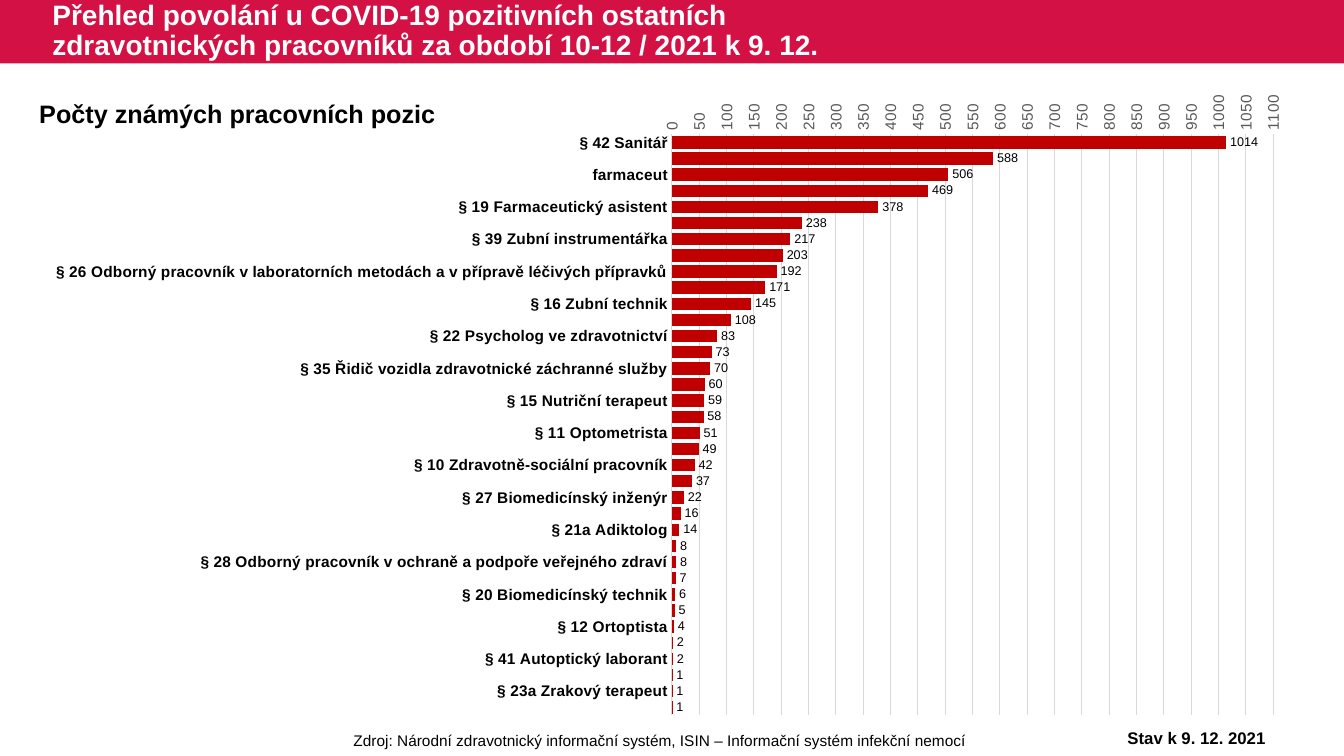
from lxml import etree
from pptx import Presentation
from pptx.chart.data import CategoryChartData
from pptx.dml.color import RGBColor
from pptx.enum.chart import XL_CHART_TYPE, XL_LABEL_POSITION, XL_TICK_MARK
from pptx.enum.shapes import MSO_SHAPE
from pptx.enum.text import MSO_ANCHOR, PP_ALIGN
from pptx.oxml.ns import qn
from pptx.util import Cm, Pt

BAR_CLUSTERED = XL_CHART_TYPE.BAR_CLUSTERED
OUTSIDE_END = XL_LABEL_POSITION.OUTSIDE_END
NO_TICK = XL_TICK_MARK.NONE
RECTANGLE = MSO_SHAPE.RECTANGLE
TOP, MIDDLE = MSO_ANCHOR.TOP, MSO_ANCHOR.MIDDLE
LEFT, CENTER = PP_ALIGN.LEFT, PP_ALIGN.CENTER

CRIMSON = RGBColor(0xD3, 0x11, 0x45)
BAR_RED = RGBColor(0xC0, 0x00, 0x00)
BLACK = RGBColor(0x00, 0x00, 0x00)
WHITE = RGBColor(0xFF, 0xFF, 0xFF)
GREY = RGBColor(0x59, 0x59, 0x59)
LIGHT_GREY = RGBColor(0xD9, 0xD9, 0xD9)

POSITIONS = [
    "§ 42 Sanitář",
    "farmaceut",
    "§ 19 Farmaceutický asistent",
    "§ 39 Zubní instrumentářka",
    "§ 26 Odborný pracovník v laboratorních metodách a v přípravě léčivých přípravků",
    "§ 16 Zubní technik",
    "§ 22 Psycholog ve zdravotnictví",
    "§ 35 Řidič vozidla zdravotnické záchranné služby",
    "§ 15 Nutriční terapeut",
    "§ 11 Optometrista",
    "§ 10 Zdravotně-sociální pracovník",
    "§ 27 Biomedicínský inženýr",
    "§ 21a Adiktolog",
    "§ 28 Odborný pracovník v ochraně a podpoře veřejného zdraví",
    "§ 20 Biomedicínský technik",
    "§ 12 Ortoptista",
    "§ 41 Autoptický laborant",
    "§ 23a Zrakový terapeut",
]
COUNTS = [
    1014, 588, 506, 469, 378, 238, 217, 203, 192, 171, 145, 108,
    83, 73, 70, 60, 59, 58, 51, 49, 42, 37, 22, 16,
    14, 8, 8, 7, 6, 5, 4, 2, 2, 1, 1, 1,
]


def style_font(font, size, color, bold=False):
    font.name = "Arial"
    font.size = Pt(size)
    font.bold = bold
    font.color.rgb = color


def add_text(box, text, size, color=BLACK, bold=True, align=LEFT, anchor=TOP, wrap=True):
    tf = s.shapes.add_textbox(*[Cm(v) for v in box]).text_frame
    tf.word_wrap = wrap
    tf.vertical_anchor = anchor
    p = tf.paragraphs[0]
    p.text = text
    p.alignment = align
    style_font(p.runs[0].font, size, color, bold)
    return p


prs = Presentation()
prs.slide_width = Cm(33.87)
prs.slide_height = Cm(19.05)
s = prs.slides.add_slide(prs.slide_layouts[6])

band = s.shapes.add_shape(RECTANGLE, 0, 0, prs.slide_width, Cm(1.6))
band.shadow.inherit = False
band.fill.solid()
band.fill.fore_color.rgb = CRIMSON
band.line.fill.background()

data = CategoryChartData()
for position in POSITIONS:
    data.add_category(position)
    data.add_category("")
data.add_series("Počet", COUNTS)
chart = s.shapes.add_chart(
    BAR_CLUSTERED, Cm(0.1), Cm(2.03), Cm(32.94), Cm(16.31), data).chart
chart.has_legend = False
chart.has_title = False
style_font(chart.font, 10, BLACK)

plot = chart.plots[0]
plot.gap_width = 30
plot.overlap = 100
plot.vary_by_categories = False
fill = plot.series[0].format.fill
fill.solid()
fill.fore_color.rgb = BAR_RED
plot.has_data_labels = True
labels = plot.data_labels
labels.show_value = True
labels.position = OUTSIDE_END
style_font(labels.font, 9, BLACK)

names = chart.category_axis
names.reverse_order = True
names.major_tick_mark = NO_TICK
names.format.line.color.rgb = LIGHT_GREY
names.format.line.width = Pt(0.75)
style_font(names.tick_labels.font, 11, BLACK, True)

counts = chart.value_axis
counts.minimum_scale = 0
counts.maximum_scale = 1100
counts.major_unit = 50
counts.major_tick_mark = NO_TICK
counts.format.line.fill.background()
counts.major_gridlines.format.line.color.rgb = LIGHT_GREY
counts.major_gridlines.format.line.width = Pt(0.75)
style_font(counts.tick_labels.font, 11, GREY)
body = counts._element.find(".//" + qn("a:bodyPr"))
body.set("rot", "-5400000")
body.set("vert", "horz")

area = chart._chartSpace.find(".//" + qn("c:plotArea"))
for old in area.findall(qn("c:layout")):
    area.remove(old)
layout = etree.Element(qn("c:layout"))
manual = etree.SubElement(layout, qn("c:manualLayout"))
for tag, val in [("layoutTarget", "inner"), ("xMode", "edge"), ("yMode", "edge"),
                 ("x", "0.511"), ("y", "0.083"), ("w", "0.46"), ("h", "0.898")]:
    etree.SubElement(manual, qn("c:" + tag)).set("val", val)
area.insert(0, layout)

add_text((5.99, 18.29, 21.29, 0.74),
         "Zdroj: Národní zdravotnický informační systém, ISIN – Informační systém infekční nemocí",
         11, bold=False, align=CENTER)
title = add_text((1.07, 0, 20.98, 1.6),
                 "Přehled povolání u COVID-19 pozitivních ostatních "
                 "zdravotnických pracovníků za období 10-12 / 2021 k 9. 12.",
                 20, WHITE, anchor=MIDDLE)
title.line_spacing = 0.9
add_text((0.74, 2.36, 10.57, 1.02), "Počty známých pracovních pozic", 18, wrap=False)
add_text((27.36, 18.21, 5.59, 0.76), "Stav k 9. 12. 2021", 12, align=CENTER)

prs.save("out.pptx")
